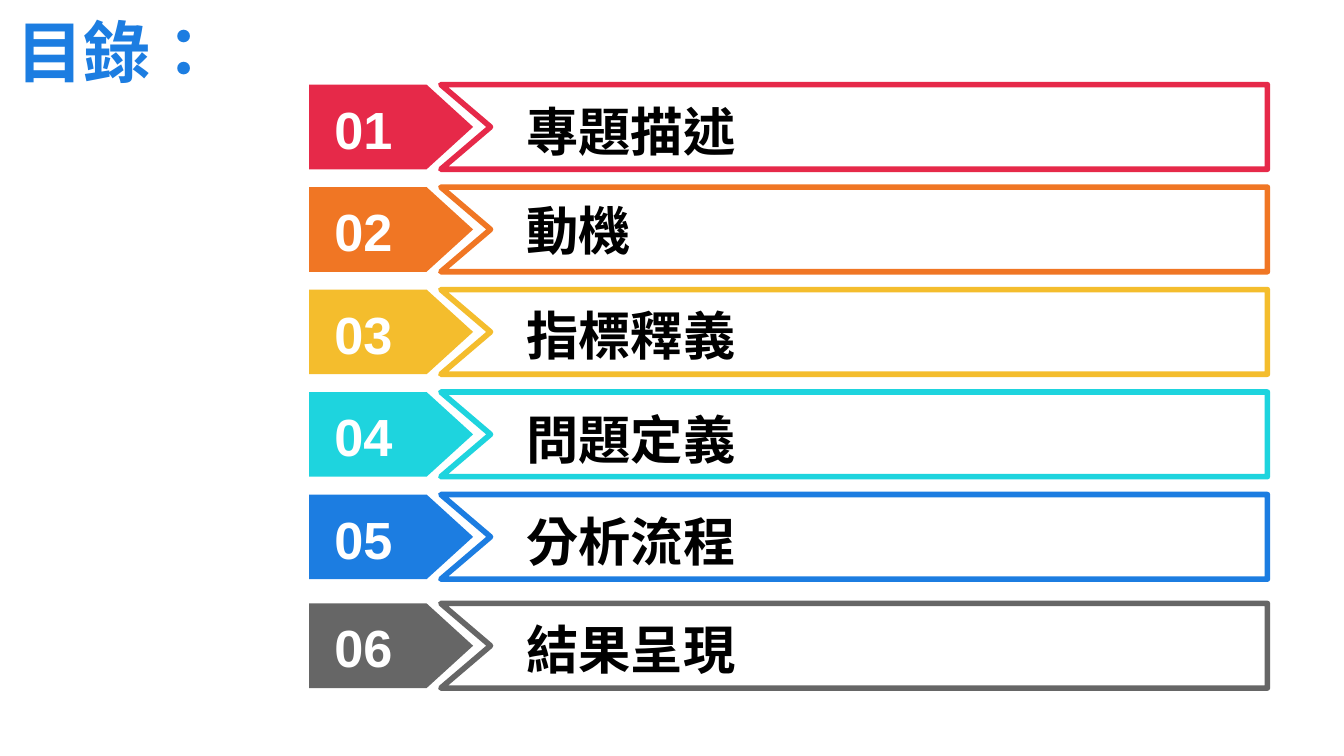
import pptx
import pptx.util
import pptx.dml.color
import pptx.enum.lang
import pptx.enum.shapes
import pptx.enum.text
import pptx.oxml.ns
import lxml.etree

Inches = pptx.util.Inches
Shape = pptx.enum.shapes.MSO_SHAPE
Anchor = pptx.enum.text.MSO_ANCHOR

HUES = {
    "title": "1C7DE1", "text": "000000", "paper": "FFFFFF",
    "red": "E62949", "orange": "F07624", "yellow": "F4BD2D",
    "cyan": "1ED4DE", "blue": "1C7DE1", "gray": "666666",
}
CJK = "Noto Sans CJK SC"
TOP = 0.63
STEP = 3.05 / 4

# text, colour, top of the bar, drop of the label inside the bar
ITEMS = [
    ("專題描述", "red", TOP, 0.06),
    ("動機", "orange", TOP + STEP, 0.03),
    ("指標釋義", "yellow", TOP + 2 * STEP, 0.05),
    ("問題定義", "cyan", TOP + 3 * STEP, 0.06),
    ("分析流程", "blue", TOP + 4 * STEP, 0.06),
    ("結果呈現", "gray", 4.49, 0.05),
]


def tint(name):
    return pptx.dml.color.RGBColor.from_string(HUES[name])


def place(shape, x, y, w, h):
    shape.left, shape.top = Inches(x), Inches(y)
    shape.width, shape.height = Inches(w), Inches(h)


def write(shape, text, size=28, font=CJK, hue="text", anchor=Anchor.TOP, pad=0.05):
    """Put one bold, left-aligned line of text into a shape."""
    frame = shape.text_frame
    frame.word_wrap = True
    frame.auto_size = pptx.enum.text.MSO_AUTO_SIZE.NONE
    frame.vertical_anchor = anchor
    frame.margin_left = frame.margin_right = Inches(0.1)
    frame.margin_top = frame.margin_bottom = Inches(pad)
    para = frame.paragraphs[0]
    para.alignment = pptx.enum.text.PP_ALIGN.LEFT
    run = para.add_run()
    run.text = text
    run.font.name = font
    run.font.size = pptx.util.Pt(size)
    run.font.bold = True
    run.font.color.rgb = tint(hue)
    run.font.language_id = pptx.enum.lang.MSO_LANGUAGE_ID.TRADITIONAL_CHINESE
    east = lxml.etree.SubElement(run.font._element, pptx.oxml.ns.qn("a:ea"))
    east.set("typeface", font)


def paint(shape, fill, line=None):
    shape.shadow.inherit = False
    shape.fill.solid()
    shape.fill.fore_color.rgb = tint(fill)
    if line:
        shape.line.color.rgb = tint(line)
        shape.line.width = pptx.util.Pt(3)
    else:
        shape.line.fill.background()


def add_text(slide, box, text, **style):
    write(slide.shapes.add_textbox(*map(Inches, box)), text, **style)


def add_title(slide, box, text):
    title = slide.shapes.title
    place(title, *box)
    write(title, text, size=36, hue="title", anchor=Anchor.MIDDLE)


def add_item(slide, box, num, text, hue, drop):
    """Draw a numbered tag and the notched bar that holds its label."""
    x, y, w, h = box
    tag = slide.shapes.add_shape(Shape.PENTAGON, *map(Inches, (x, y, 1.22, h)))
    tag.adjustments[0] = 0.549
    paint(tag, hue)

    left, right = x + 0.98, x + w
    pen = slide.shapes.build_freeform(Inches(left), Inches(y))
    points = [(right, y), (right, y + h), (left, y + h), (left + 0.37, y + h / 2)]
    pen.add_line_segments([(Inches(a), Inches(b)) for a, b in points], close=True)
    paint(pen.convert_to_shape(), "paper", hue)

    add_text(slide, (x + 0.09, y + 0.09, 0.66, 0.47), f"{num:02}",
             font="Arial", hue="paper", anchor=Anchor.MIDDLE, pad=0)
    add_text(slide, (x + 1.52, y + drop, 5.3, 0.57), text)


def main():
    deck = pptx.Presentation()
    deck.slide_width = Inches(10)
    deck.slide_height = deck.slide_width * 9 // 16
    slide = deck.slides.add_slide(deck.slide_layouts[5])
    add_title(slide, (0.02, 0, 1.73, 0.75), "目錄：")
    for num, (text, hue, top, drop) in enumerate(ITEMS, 1):
        add_item(slide, (2.3, top, 7.13, 0.63), num, text, hue, drop)
    deck.save("out.pptx")


if __name__ == "__main__":
    main()
